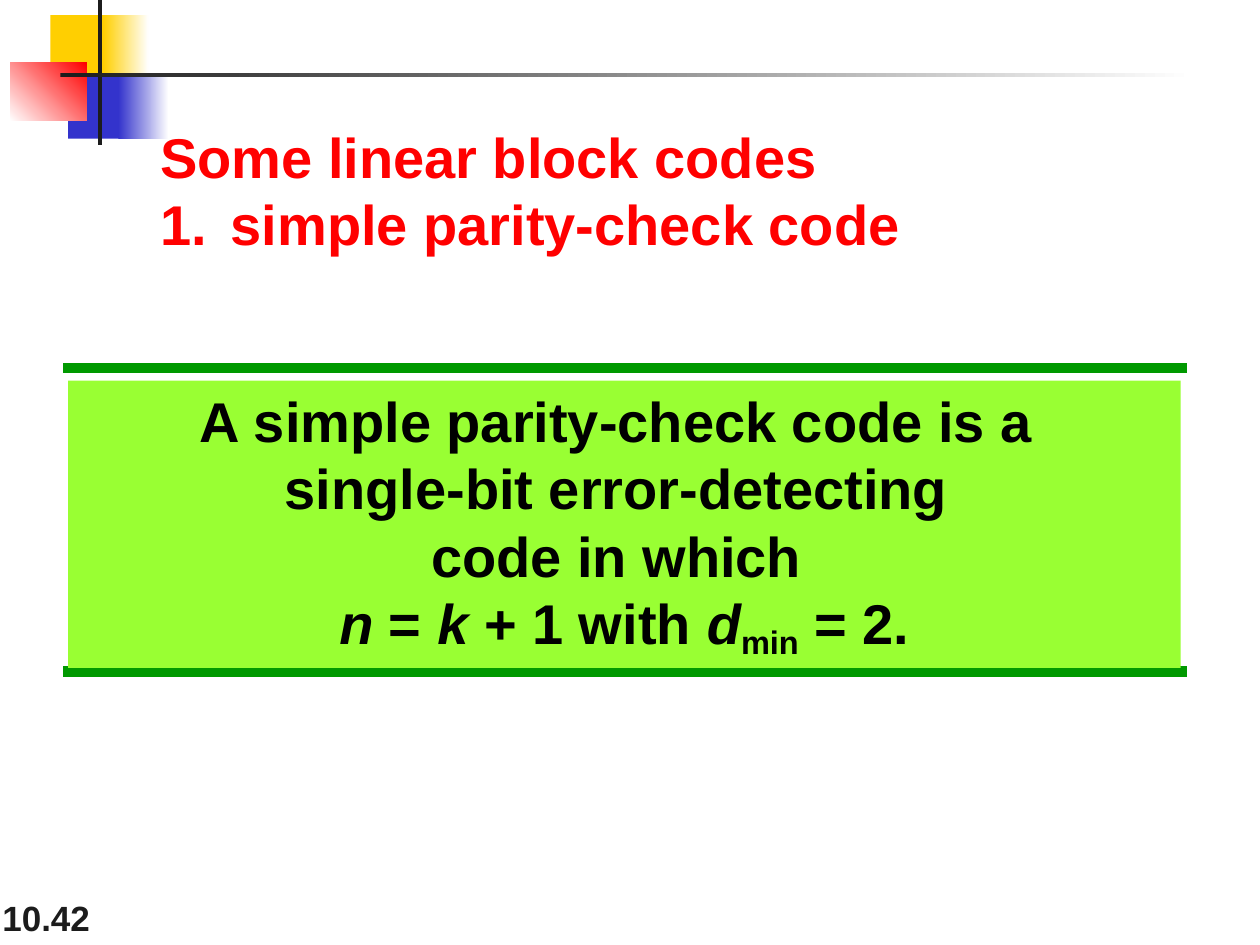
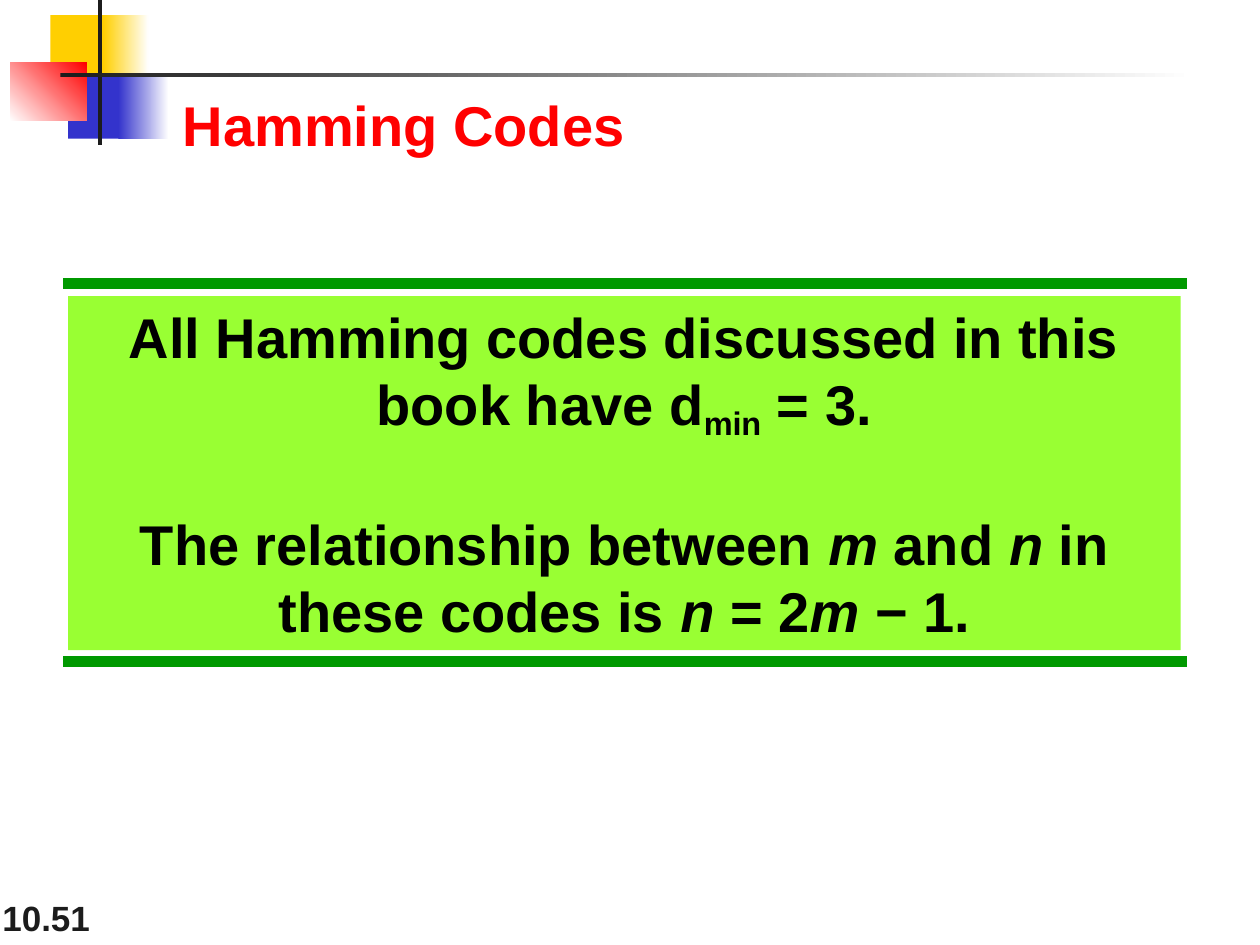
from lxml import etree
from pptx import Presentation
from pptx.dml.color import RGBColor
from pptx.enum.shapes import MSO_CONNECTOR, MSO_SHAPE
from pptx.enum.text import MSO_ANCHOR, MSO_AUTO_SIZE, PP_ALIGN
from pptx.oxml.ns import qn
from pptx.util import Inches, Pt

RECTANGLE, STRAIGHT = MSO_SHAPE.RECTANGLE, MSO_CONNECTOR.STRAIGHT
TOP, BOTTOM = MSO_ANCHOR.TOP, MSO_ANCHOR.BOTTOM
LEFT, CENTER = PP_ALIGN.LEFT, PP_ALIGN.CENTER
NO_FIT = MSO_AUTO_SIZE.NONE

FONT = "Arial"
WHITE, BLACK, INK = "FFFFFF", "000000", "1C1C1C"
RED, YELLOW, BLUE = "FF0000", "FFCF01", "3333CC"
RULE_GREEN, BOX_GREEN = "009900", "99FF33"
PARAGRAPH_GAP = 38.5
NUMBER_INDENT = 0.56

# left, top, width, height, colours (two make a gradient), gradient angle
ORNAMENT = [
    (0.4, 0.12, 0.48, 0.52, [YELLOW], 0),
    (0.82, 0.12, 0.36, 0.52, [YELLOW, WHITE], 0),
    (0.54, 0.58, 0.46, 0.52, [BLUE], 0),
    (0.94, 0.58, 0.4, 0.52, [BLUE, WHITE], 0),
    (0.08, 0.5, 0.61, 0.46, [WHITE, RED], 45),
    (0.78, 0, 0.03, 1.15, [INK], 0),
    (0.48, 0.58, 9, 0.03, [INK, WHITE], 0),
]

# Each paragraph of a statement is a list of (text, style) spans.
SLIDES = [
    {
        "number": "10.42",
        "title": ["Some linear block codes", "simple parity-check code"],
        "numbered": [1],
        "title_at": (1.17, 0.92, 7.08, 1.7),
        "rules": (2.92, 5.33),
        "box": (3.02, 2.28),
        "statement": [
            [("A simple parity-check code is a \nsingle-bit error-detecting \n"
              "code in which \n", ""),
             ("n", "italic"), (" = ", ""), ("k", "italic"), (" + 1 with ", ""),
             ("d", "italic"), ("min", "subscript"), (" = 2.", "")],
        ],
    },
    {
        "number": "10.51",
        "title": ["Hamming Codes"],
        "numbered": [],
        "title_at": (1.35, 0.67, 4, 0.64),
        "rules": (2.25, 5.25),
        "box": (2.35, 2.81),
        "statement": [
            [("All Hamming codes discussed in this book have d", ""),
             ("min", "subscript"), (" = 3.", "")],
            [("The relationship between ", ""), ("m", "italic"), (" and ", ""),
             ("n", "italic"), (" in these codes is ", ""), ("n", "italic"),
             (" = 2", ""), ("m", "italic"), (" − 1.", "")],
        ],
    },
]


def rgb(value):
    return RGBColor.from_string(value)


def inches(*lengths):
    return [Inches(length) for length in lengths]


def add_rectangle(page, place, colours, angle=0):
    shape = page.shapes.add_shape(RECTANGLE, *inches(*place))
    shape.shadow.inherit = False
    shape.line.fill.background()
    if len(colours) == 1:
        shape.fill.solid()
        shape.fill.fore_color.rgb = rgb(colours[0])
    else:
        shape.fill.gradient()
        shape.fill.gradient_angle = angle
        for stop, colour in zip(shape.fill.gradient_stops, colours):
            stop.color.rgb = rgb(colour)
    return shape


def add_rule(page, top):
    rule = page.shapes.add_connector(STRAIGHT, *inches(0.5, top, 9.42, top))
    rule.line.color.rgb = rgb(RULE_GREEN)
    rule.line.width = Pt(6)
    etree.SubElement(rule.element.spPr, qn("a:effectLst"))


def number_paragraph(para):
    """Give a paragraph an automatic red number with a hanging indent."""
    properties = para._p.get_or_add_pPr()
    properties.set("marL", str(Inches(NUMBER_INDENT)))
    properties.set("indent", str(-Inches(NUMBER_INDENT)))
    colour = etree.SubElement(properties, qn("a:buClr"))
    etree.SubElement(colour, qn("a:srgbClr"), val=RED)
    etree.SubElement(properties, qn("a:buAutoNum"), type="arabicPeriod")


def add_span(para, text, style, size, colour):
    """Add a run for each line of the text, with line breaks between them."""
    for index, line in enumerate(text.split("\n")):
        if index:
            para.add_line_break()
        if not line:
            continue
        span = para.add_run()
        span.text = line
        formats = {"name": FONT, "size": Pt(size), "bold": True,
                   "italic": style == "italic"}
        for name, value in formats.items():
            setattr(span.font, name, value)
        span.font.color.rgb = rgb(colour)
        if style == "subscript":
            span.font._element.set("baseline", "-18000")


def write(shape, paragraphs, size, colour, align=LEFT, anchor=TOP, numbered=()):
    frame = shape.text_frame
    formats = {"word_wrap": True, "auto_size": NO_FIT, "vertical_anchor": anchor,
               "margin_left": Inches(0.1), "margin_right": Inches(0.1),
               "margin_top": Inches(0.05), "margin_bottom": Inches(0.05)}
    for name, value in formats.items():
        setattr(frame, name, value)
    for index, spans in enumerate(paragraphs):
        para = frame.add_paragraph() if index else frame.paragraphs[0]
        if index in numbered:
            number_paragraph(para)
        elif index:
            para.space_before = Pt(PARAGRAPH_GAP)
        para.alignment = align
        for text, style in spans:
            add_span(para, text, style, size, colour)


def add_title(page, content):
    title = page.shapes.title
    page.shapes.element.append(title.element)  # bring above the ornament
    for name, value in zip(("left", "top", "width", "height"),
                           inches(*content["title_at"])):
        setattr(title, name, value)
    write(title, [[(line, "")] for line in content["title"]], 32, RED,
          numbered=content["numbered"])


def add_page(deck, content):
    page = deck.slides.add_slide(deck.slide_layouts[5])
    number = page.shapes.add_textbox(*inches(-0.08, 7, 2.08, 0.5))
    write(number, [[(content["number"], "")]], 20, INK, anchor=BOTTOM)
    for *place, colours, angle in ORNAMENT:
        add_rectangle(page, place, colours, angle)
    for top in content["rules"]:
        add_rule(page, top)
    top, height = content["box"]
    box = add_rectangle(page, (0.54, top, 8.83, height), [BOX_GREEN])
    write(box, content["statement"], 32, BLACK, align=CENTER)
    add_title(page, content)


def main():
    deck = Presentation()
    deck.slide_width, deck.slide_height = inches(10, 7.5)
    for content in SLIDES:
        add_page(deck, content)
    deck.save("out.pptx")


if __name__ == "__main__":
    main()
